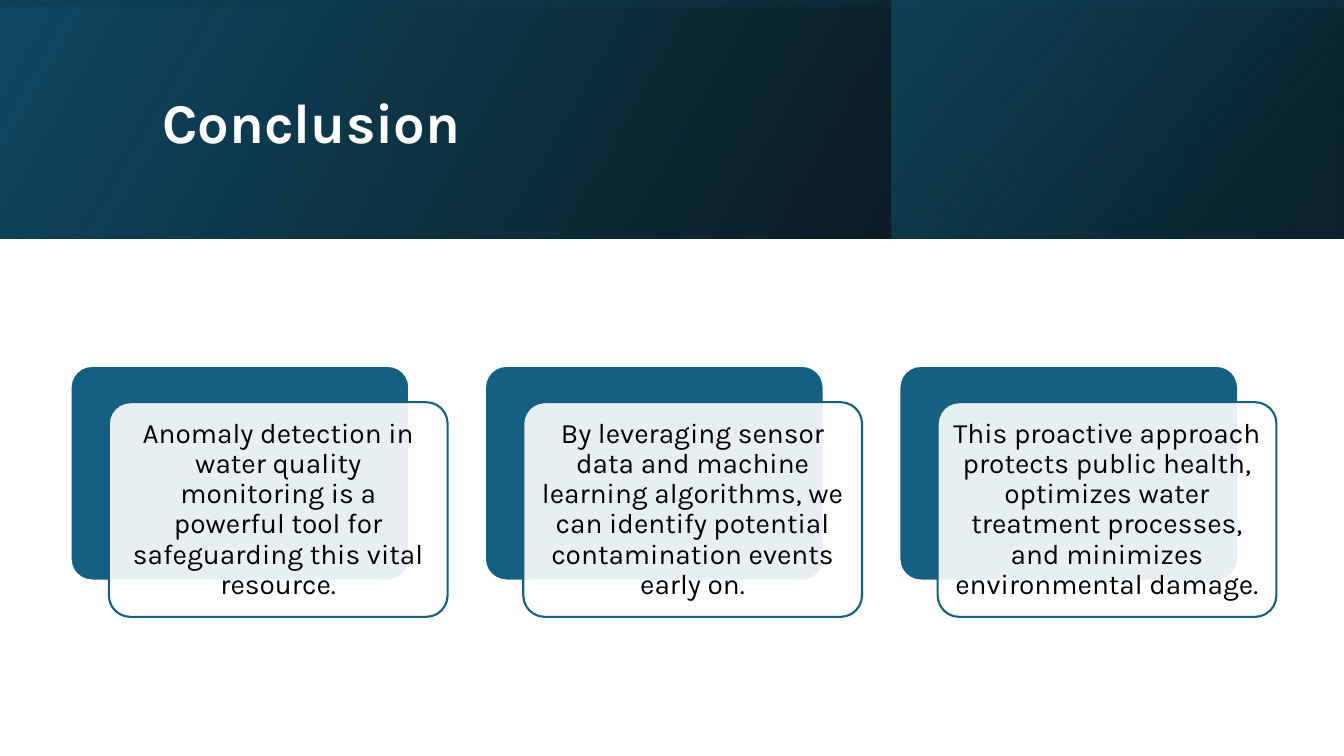
from lxml import etree
from pptx import Presentation
from pptx.dml.color import RGBColor
from pptx.enum.shapes import MSO_SHAPE as Shape
from pptx.enum.text import MSO_ANCHOR as Anchor, MSO_AUTO_SIZE as Fit, PP_ALIGN as Align
from pptx.oxml import parse_xml
from pptx.oxml.ns import nsdecls, qn
from pptx.util import Inches, Pt

FONT = "Karla"
COLORS = {
    "white": "FFFFFF",
    "black": "000000",
    "teal": "156082",
    "deep": "104862",
    "navy": "0B3041",
}
BANDS = [
    ((0, 0, 13.33, 2.37), 0, 330, [(0, "black", 96), (100, "deep", 100)]),
    ((8.84, 0, 4.48, 2.37), 0, 320, [(19, "navy", 68), (100, "teal", 48)]),
    ((5.48, -5.48, 2.37, 13.33), 270, 350, [(23, "deep", 16), (99, "black", 45)]),
]
POINTS = [
    "Anomaly detection in water quality monitoring is a powerful tool for "
    "safeguarding this vital resource.",
    "By leveraging sensor data and machine learning algorithms, we can identify "
    "potential contamination events early on.",
    "This proactive approach protects public health, optimizes water treatment "
    "processes, and minimizes environmental damage.",
]
LEFT, TOP, STEP = 0.7, 3.63, 4.11
CARD_W, CARD_H = 3.36, 2.13
SHIFT_X, SHIFT_Y, INSET = 0.38, 0.36, 0.06


def color(name):
    """Return the named colour."""
    return RGBColor.from_string(COLORS[name])


def box(*sides):
    """Turn numbers into lengths in inches."""
    return [Inches(side) for side in sides]


def add_band(slide, place, turn, angle, stops):
    """Add a mirrored rectangle with a translucent gradient."""
    band = slide.shapes.add_shape(Shape.RECTANGLE, *box(*place))
    band.shadow.inherit = False
    band.line.fill.background()
    band.rotation = turn
    props = band._element.spPr
    props.xfrm.set("flipH", "1")
    marks = "".join(
        f'<a:gs pos="{pos * 1000}"><a:srgbClr val="{COLORS[name]}">'
        f'<a:alpha val="{alpha * 1000}"/></a:srgbClr></a:gs>'
        for pos, name, alpha in stops
    )
    fill = parse_xml(
        f'<a:gradFill {nsdecls("a")} rotWithShape="1"><a:gsLst>{marks}</a:gsLst>'
        f'<a:lin ang="{angle * 60000}" scaled="0"/></a:gradFill>'
    )
    props.find(qn("a:prstGeom")).addnext(fill)


def style(frame, size, name, align):
    """Format the only paragraph of a text frame."""
    frame.word_wrap = True
    frame.auto_size = Fit.NONE
    frame.vertical_anchor = Anchor.MIDDLE
    para = frame.paragraphs[0]
    para.alignment = align
    para.line_spacing = 0.9
    para.font.name = FONT
    para.font.size = Pt(size)
    para.font.color.rgb = color(name)
    return para


def set_title(slide, text):
    """Fill the title placeholder and lift it above the bands."""
    title = slide.shapes.title
    title.left, title.top, title.width, title.height = box(1.51, 0.38, 10.63, 1.72)
    title.text_frame.text = text
    style(title.text_frame, 40, "white", Align.LEFT).font.bold = True
    slide.shapes._spTree.append(title._element)


def add_panel(slide, left, top, fill, line, alpha=100):
    """Add one rounded panel of a card."""
    panel = slide.shapes.add_shape(
        Shape.ROUNDED_RECTANGLE, *box(left, top, CARD_W, CARD_H))
    panel.adjustments[0] = 0.1
    panel.shadow.inherit = False
    panel.fill.solid()
    panel.fill.fore_color.rgb = color(fill)
    panel.line.color.rgb = color(line)
    panel.line.width = Pt(1.5)
    if alpha < 100:
        tint = panel._element.spPr.find(qn("a:solidFill"))[0]
        etree.SubElement(tint, qn("a:alpha"), val=str(alpha * 1000))


def add_card(slide, left, text):
    """Add a back panel, a front panel and the text on it."""
    add_panel(slide, left, TOP, "teal", "white")
    x, y = left + SHIFT_X, TOP + SHIFT_Y
    add_panel(slide, x, y, "white", "teal", 90)
    label = slide.shapes.add_textbox(
        *box(x + INSET, y + INSET, CARD_W - 2 * INSET, CARD_H - 2 * INSET))
    frame = label.text_frame
    frame.text = text
    frame.margin_left = frame.margin_right = Inches(0.08)
    frame.margin_top = frame.margin_bottom = Inches(0.08)
    style(frame, 20, "black", Align.CENTER)


def main():
    """Build the slide and save it."""
    deck = Presentation()
    deck.slide_width, deck.slide_height = box(13.33, 7.5)
    slide = deck.slides.add_slide(deck.slide_layouts[5])
    for band in BANDS:
        add_band(slide, *band)
    set_title(slide, "Conclusion")
    for i, text in enumerate(POINTS):
        add_card(slide, LEFT + i * STEP, text)
    deck.save("out.pptx")


if __name__ == "__main__":
    main()
